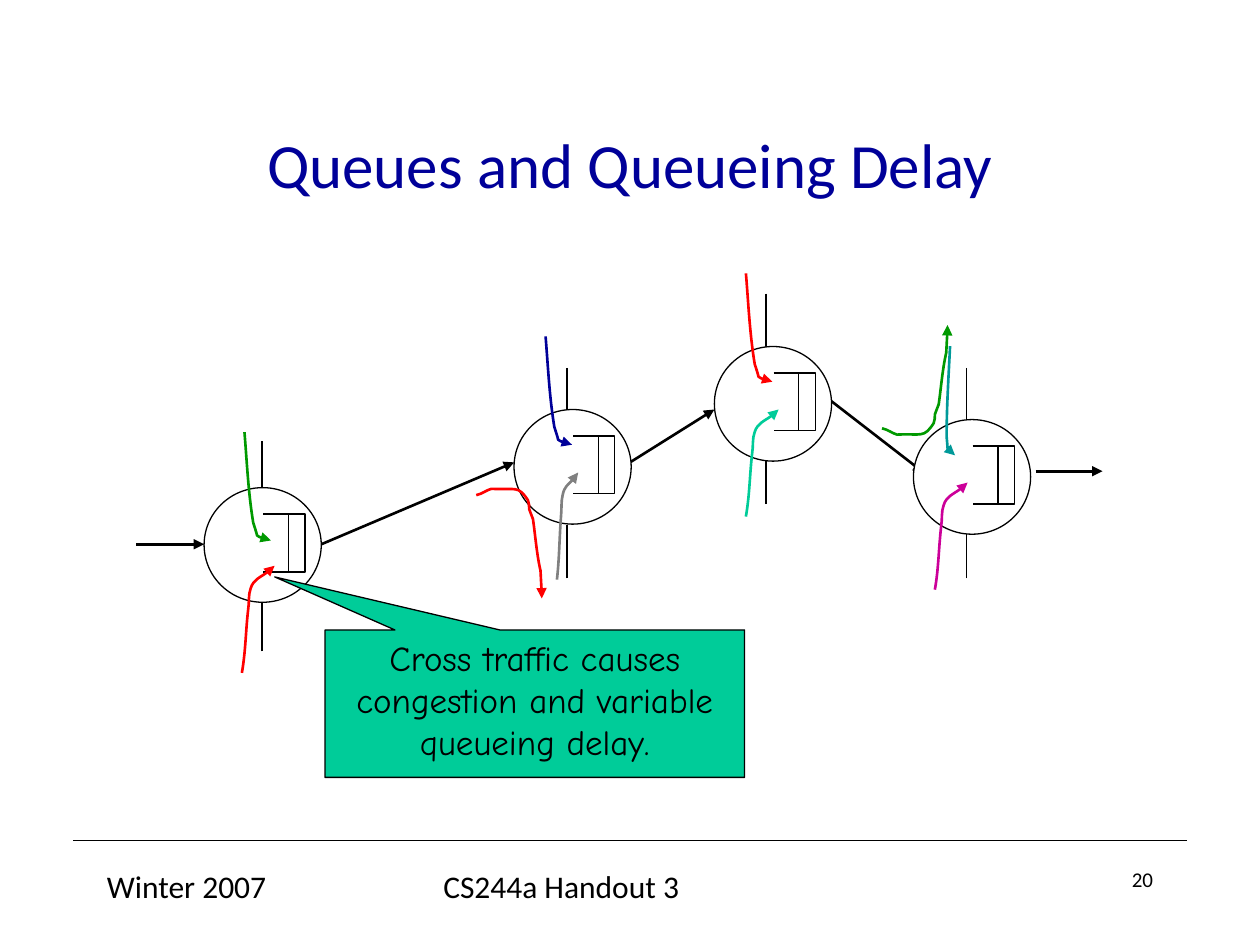
"""Build the slide on queues and queueing delay."""
import dataclasses

import lxml.etree
import pptx
import pptx.dml.color
import pptx.enum.shapes
import pptx.enum.text
import pptx.oxml.ns
import pptx.util

Inches = pptx.util.Inches
Align = pptx.enum.text.PP_ALIGN
Anchor = pptx.enum.text.MSO_ANCHOR
Kind = pptx.enum.shapes.MSO_SHAPE
qn = pptx.oxml.ns.qn


@dataclasses.dataclass(frozen=True)
class Theme:
    sans: str = "Calibri"
    comic: str = "Comic Neue"
    black: str = "000000"
    white: str = "FFFFFF"
    navy: str = "000099"
    green: str = "009900"
    red: str = "FF0000"
    gray: str = "808080"
    mint: str = "00CC99"
    pink: str = "CC0099"
    teal: str = "009999"
    title: int = 36
    note: int = 20
    foot: int = 18
    page: int = 12
    thin: float = 0.75
    thick: float = 1.5


T = Theme()

LABELS = [
    ("Winter 2007", (0.75, 6.83, 2.08, 0.5), T.foot, T.black, Align.LEFT, Anchor.TOP),
    ("CS244a Handout 3", (3.42, 6.83, 3.17, 0.5), T.foot, T.black, Align.LEFT, Anchor.TOP),
    ("20", (7.17, 6.83, 2.08, 0.5), T.page, T.black, Align.RIGHT, Anchor.TOP),
    ("Queues and Queueing Delay", (0.75, 0.67, 8.5, 1.25), T.title, T.navy,
     Align.CENTER, Anchor.MIDDLE),
]
NOTE = "Cross traffic causes congestion and variable queueing delay."
RULE = (0.58, 6.67, 9.42, 6.67)
LINKS = [
    (1.08, 4.32, 1.62, 4.32),
    (2.55, 4.32, 4.08, 3.67),
    (5, 3.67, 5.67, 3.25),
    (6.58, 3.17, 7.33, 3.75),
    (8.22, 3.74, 8.75, 3.74),
]
NODES = [(1.62, 3.87), (4.08, 3.25), (7.25, 3.33), (5.67, 2.75)]
STEMS = [(2.08, 3.5), (4.5, 2.92), (6.08, 2.33), (7.67, 2.92)]
STEM, SPAN = 0.42, 1.67
NODE = (0.93, 0.91)
QUEUE = (0.47, 0.21, 0.33, 0.46)
BAR = 0.67

DROP = [(0, 0), (0.02, 0.24), (0.03, 0.48), (0.07, 0.72), (0.07, 0.72),
        (0.1, 0.81), (0.1, 0.82), (0.13, 0.84), (0.21, 0.86), (0.21, 0.86)]
RISE = [(0, 0.85), (0.03, 0.68), (0.03, 0.52), (0.05, 0.35), (0.06, 0.29),
        (0.05, 0.23), (0.07, 0.18), (0.09, 0.11), (0.21, 0.06), (0.26, 0)]
TURN = [(0, 0.08), (0.05, 0.07), (0.08, 0.04), (0.12, 0.03), (0.32, 0.04),
        (0.33, 0), (0.41, 0.12), (0.42, 0.14), (0.42, 0.17), (0.42, 0.19),
        (0.43, 0.22), (0.45, 0.27), (0.45, 0.27), (0.47, 0.41), (0.48, 0.55),
        (0.51, 0.68), (0.52, 0.88), (0.52, 0.8), (0.52, 0.9)]
LIFT = [(x, 0.9 - y) for x, y in TURN]
FLOWS = [
    (DROP, 1.94, 3.43, T.green, 1, 0),
    (RISE, 1.92, 4.49, T.red, 1, 0),
    (TURN, 3.78, 3.85, T.red, 1, 0),
    (RISE, 4.42, 3.75, T.gray, 0.65, 0),
    (DROP, 4.33, 2.67, T.navy, 1, 0),
    (RISE, 5.92, 3.25, T.mint, 1, 0),
    (DROP, 5.92, 2.17, T.red, 1, 0),
    (RISE, 7.42, 3.83, T.pink, 1, 0),
    (DROP, 7.5, 2.75, T.teal, 0.57, 5.3),
    (LIFT, 7, 2.58, T.green, 1, 0),
]


def rgb(tone):
    return pptx.dml.color.RGBColor.from_string(tone)


def add_tag(root, tag, **attrs):
    return lxml.etree.SubElement(root, qn(tag), **attrs)


def ink(shape, tone, width, arrow=False):
    shape.line.color.rgb = rgb(tone)
    shape.line.width = pptx.util.Pt(width)
    if arrow:
        line = shape.element.spPr.find(qn("a:ln"))
        add_tag(line, "a:tailEnd", type="triangle")


def add_line(slide, ends, width=T.thin, arrow=False):
    line = slide.shapes.add_connector(
        pptx.enum.shapes.MSO_CONNECTOR.STRAIGHT, *map(Inches, ends))
    ink(line, T.black, width, arrow)
    add_tag(line.element.spPr, "a:effectLst")


def add_form(slide, points, tone, width, arrow=False):
    spots = [(Inches(x), Inches(y)) for x, y in points]
    form = slide.shapes.build_freeform(*spots[0])
    form.add_line_segments(spots[1:], close=False)
    shape = form.convert_to_shape()
    shape.fill.background()
    shape.shadow.inherit = False
    ink(shape, tone, width, arrow)
    return shape


def bend(shape):
    legs = list(shape.element.iter(qn("a:lnTo")))
    for trio in zip(legs[::3], legs[1::3], legs[2::3]):
        curve = add_tag(trio[0].getparent(), "a:cubicBezTo")
        for leg in trio:
            curve.append(leg[0])
            leg.getparent().remove(leg)


def add_solid(slide, kind, box, fill):
    shape = slide.shapes.add_shape(kind, *map(Inches, box))
    shape.shadow.inherit = False
    shape.fill.solid()
    shape.fill.fore_color.rgb = rgb(fill)
    ink(shape, T.black, T.thin)
    return shape


def write(shape, text, size, tone, align, anchor, face=T.sans):
    frame = shape.text_frame
    frame.word_wrap = True
    frame.vertical_anchor = anchor
    para = frame.paragraphs[0]
    para.alignment = align
    run = para.add_run()
    run.text = text
    run.font.name = face
    run.font.size = pptx.util.Pt(size)
    run.font.color.rgb = rgb(tone)


def add_node(slide, left, top):
    add_solid(slide, Kind.OVAL, (left, top, *NODE), T.white)
    x, y = left + QUEUE[0], top + QUEUE[1]
    end, base = x + QUEUE[2], y + QUEUE[3]
    add_form(slide, [(x, y), (end, y), (end, base), (x, base)], T.black, T.thin)
    add_line(slide, (left + BAR, y, left + BAR, base))


def main():
    deck = pptx.Presentation()
    deck.slide_width, deck.slide_height = Inches(10), Inches(7.5)
    slide = deck.slides.add_slide(deck.slide_layouts[6])
    add_line(slide, RULE)
    for text, box, *style in LABELS:
        write(slide.shapes.add_textbox(*map(Inches, box)), text, *style)
    for link in LINKS:
        add_line(slide, link, T.thick, True)
    for x, top in STEMS:
        add_line(slide, (x, top, x, top + STEM))
        add_line(slide, (x, top + SPAN, x, top + SPAN - STEM))
    for node in NODES:
        add_node(slide, *node)
    for knots, left, top, tone, scale, turn in FLOWS:
        points = [(left + scale * x, top + y) for x, y in knots]
        flow = add_form(slide, points, tone, T.thick, True)
        bend(flow)
        flow.rotation = turn
    note = add_solid(slide, Kind.RECTANGULAR_CALLOUT, (2.58, 5, 3.33, 1.17), T.mint)
    note.adjustments[0], note.adjustments[1] = -0.62, -0.86
    write(note, NOTE, T.note, T.black, Align.CENTER, Anchor.TOP, T.comic)
    deck.save("out.pptx")


if __name__ == "__main__":
    main()
